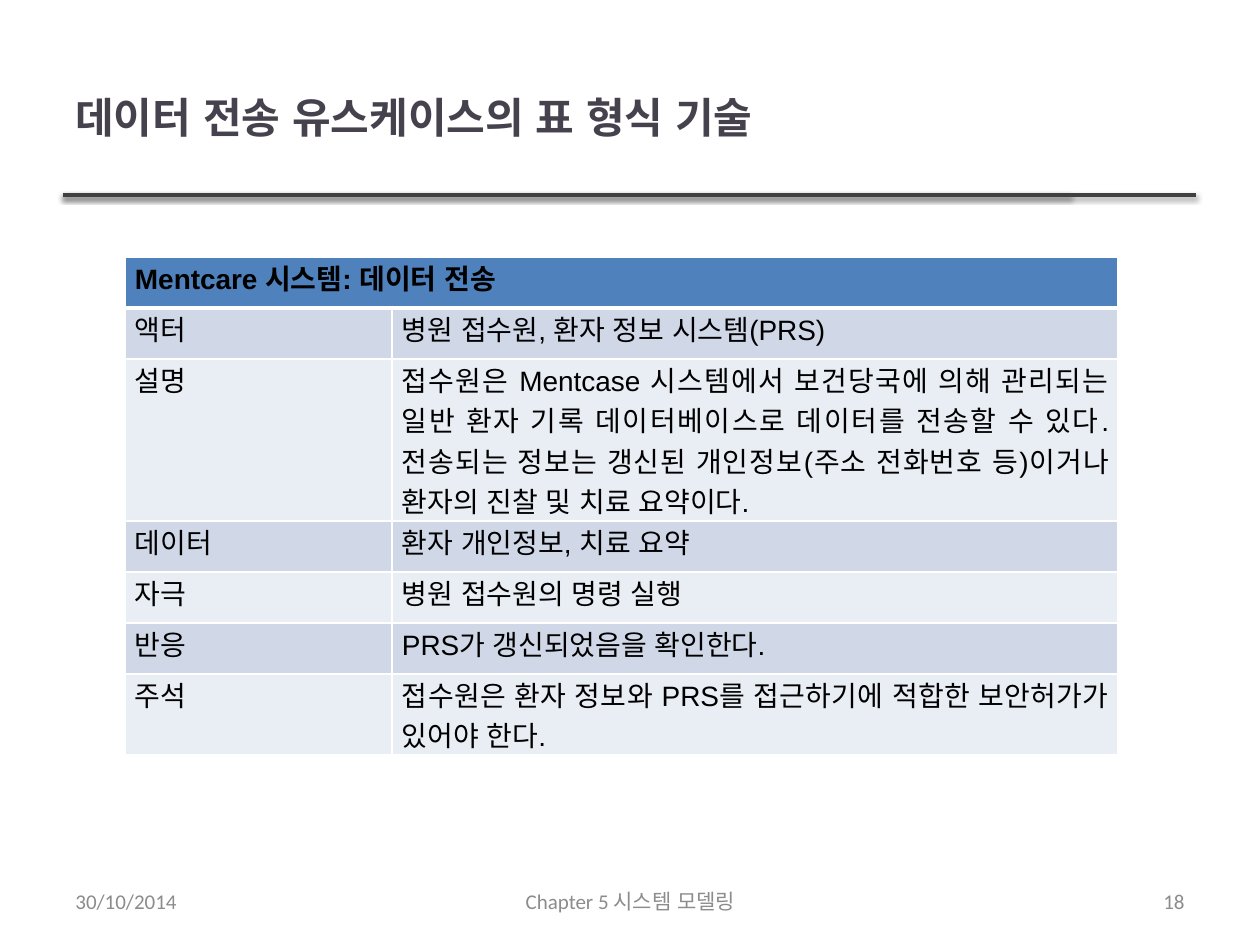
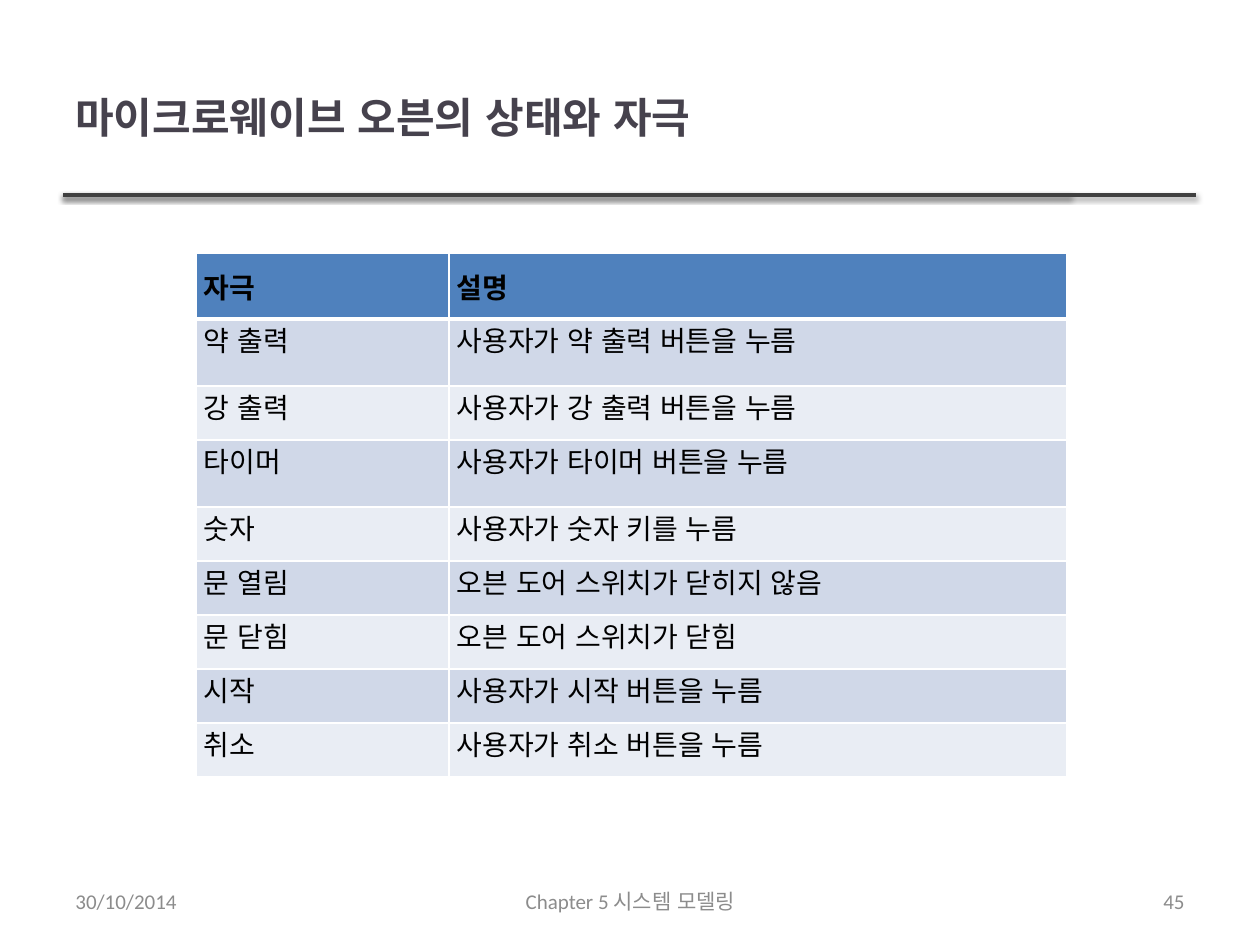
from lxml.etree import SubElement
from pptx import Presentation
from pptx.dml.color import RGBColor
from pptx.enum.lang import MSO_LANGUAGE_ID
from pptx.enum.shapes import MSO_CONNECTOR
from pptx.enum.text import MSO_ANCHOR, PP_ALIGN
from pptx.oxml import parse_xml
from pptx.oxml.ns import nsdecls, qn
from pptx.util import Emu, Pt

# Content
SLIDES = [
    {
        "title": "데이터 전송 유스케이스의 표 형식 기술",
        "number": "18",
        "rows": [
            ("Mentcare 시스템: 데이터 전송",),
            ("액터", "병원 접수원, 환자 정보 시스템(PRS)"),
            ("설명", "접수원은 Mentcase 시스템에서 보건당국에 의해 관리되는 일반 환자 기록 "
                   "데이터베이스로 데이터를 전송할 수 있다. 전송되는 정보는 갱신된 "
                   "개인정보(주소 전화번호 등)이거나 환자의 진찰 및 치료 요약이다."),
            ("데이터", "환자 개인정보, 치료 요약"),
            ("자극", "병원 접수원의 명령 실행"),
            ("반응", "PRS가 갱신되었음을 확인한다."),
            ("주석", "접수원은 환자 정보와 PRS를 접근하기에 적합한 보안허가가 있어야 한다."),
        ],
        "at": (125, 257), "cols": (267, 726), "row": 51, "tall": {2: 162, 6: 81},
        "sides": (10, 9), "head_top": 0, "bottom": 0,
    },
    {
        "title": "마이크로웨이브 오븐의 상태와 자극",
        "number": "45",
        "rows": [
            ("자극", "설명"),
            ("약 출력", "사용자가 약 출력 버튼을 누름"),
            ("강 출력", "사용자가 강 출력 버튼을 누름"),
            ("타이머", "사용자가 타이머 버튼을 누름"),
            ("숫자", "사용자가 숫자 키를 누름"),
            ("문 열림", "오븐 도어 스위치가 닫히지 않음"),
            ("문 닫힘", "오븐 도어 스위치가 닫힘"),
            ("시작", "사용자가 시작 버튼을 누름"),
            ("취소", "사용자가 취소 버튼을 누름"),
        ],
        "at": (196, 253), "cols": (253, 618), "row": 54, "tall": {0: 66, 1: 67, 3: 67},
        "sides": (8, 8), "head_top": 13, "bottom": 13,
    },
]
DATE = "30/10/2014"
CHAPTER = "Chapter 5 시스템 모델링"

# Shared look
COLORS = {"title": "46424D", "rule": "404040", "footer": "8C8C8C", "text": "000000",
          "head": "4F81BD", "odd": "D0D8E8", "even": "E9EDF4", "border": "FFFFFF"}
FORMATS = {
    "title": {"name": "Arial", "size": Pt(24), "bold": True},
    "footer": {"name": "Calibri", "size": Pt(12), "bold": False},
    "head": {"name": "Arial", "size": Pt(16), "bold": True},
    "body": {"name": "Arial", "size": Pt(16), "bold": False},
}
TITLE_BOX = (63, 38, 1005, 158)
RULE_Y, RULE_LEFT, RULE_ENDS = 195, 63, (1070, 1196)
FOOTER_Y, FOOTER_H = 876, 50
SHADOW = (f'<a:effectLst {nsdecls("a")}><a:outerShdw blurRad="{Pt(3.1)}" dist="{Pt(1.6)}" '
          'dir="5400000" rotWithShape="0"><a:srgbClr val="000000"><a:alpha val="38000"/>'
          '</a:srgbClr></a:outerShdw></a:effectLst>')


def px(n):
    return Emu(round(n * 914400 / 126))


def write(tf, text, style, color, align):
    p = tf.paragraphs[0]
    p.alignment = align
    r = p.add_run()
    r.text = text
    for key, value in FORMATS[style].items():
        setattr(r.font, key, value)
    r.font.language_id = MSO_LANGUAGE_ID.KOREAN
    r.font.color.rgb = RGBColor.from_string(COLORS[color])


def add_label(s, box, text, style, align=PP_ALIGN.LEFT):
    tf = s.shapes.add_textbox(*map(px, box)).text_frame
    tf.word_wrap = True
    tf.vertical_anchor = MSO_ANCHOR.MIDDLE
    write(tf, text, style, style, align)


def add_frame(s, title, number):
    # Double rule under the title
    for end in RULE_ENDS:
        line = s.shapes.add_connector(MSO_CONNECTOR.STRAIGHT, px(RULE_LEFT), px(RULE_Y),
                                      px(end), px(RULE_Y))
        line.line.color.rgb = RGBColor.from_string(COLORS["rule"])
        line.line.width = Pt(2)
        line._element.spPr.append(parse_xml(SHADOW))
    add_label(s, TITLE_BOX, title, "title")

    # Footer
    for left, width, text, align in ((63, 294, DATE, PP_ALIGN.LEFT),
                                     (431, 399, CHAPTER, PP_ALIGN.CENTER),
                                     (903, 294, number, PP_ALIGN.RIGHT)):
        add_label(s, (left, FOOTER_Y, width, FOOTER_H), text, "footer", align)


def set_borders(cell, row):
    tcPr = cell._tc.get_or_add_tcPr()
    widths = {"lnL": 1, "lnR": 1, "lnT": 3 if row == 1 else 1, "lnB": 3 if row == 0 else 1}
    for tag, width in widths.items():
        ln = SubElement(tcPr, qn(f"a:{tag}"), w=str(Pt(width)))
        fill = SubElement(ln, qn("a:solidFill"))
        SubElement(fill, qn("a:srgbClr"), val=COLORS["border"])


def add_grid(s, d):
    heights = [d["tall"].get(i, d["row"]) for i in range(len(d["rows"]))]
    size = (sum(d["cols"]), sum(heights))
    table = s.shapes.add_table(len(heights), len(d["cols"]),
                               *map(px, d["at"] + size)).table
    for col, width in zip(table.columns, d["cols"]):
        col.width = px(width)
    left, right = d["sides"]
    for i, (texts, height) in enumerate(zip(d["rows"], heights)):
        table.rows[i].height = px(height)
        band = "head" if i == 0 else ("even", "odd")[i % 2]
        margins = {"margin_left": left, "margin_right": right,
                   "margin_top": 0 if i else d["head_top"], "margin_bottom": d["bottom"]}
        for j, cell in enumerate(table.rows[i].cells):
            for key, value in margins.items():
                setattr(cell, key, px(value))
            set_borders(cell, i)
            cell.fill.solid()
            cell.fill.fore_color.rgb = RGBColor.from_string(COLORS[band])
            if j < len(texts):
                write(cell.text_frame, texts[j], "body" if i else "head", "text",
                      PP_ALIGN.JUSTIFY)
        if len(texts) == 1:
            table.cell(i, 0).merge(table.cell(i, len(d["cols"]) - 1))


def main():
    prs = Presentation()
    prs.slide_width, prs.slide_height = px(1260), px(945)
    for d in SLIDES:
        s = prs.slides.add_slide(prs.slide_layouts[6])
        add_frame(s, d["title"], d["number"])
        add_grid(s, d)
    prs.save("out.pptx")


if __name__ == "__main__":
    main()
